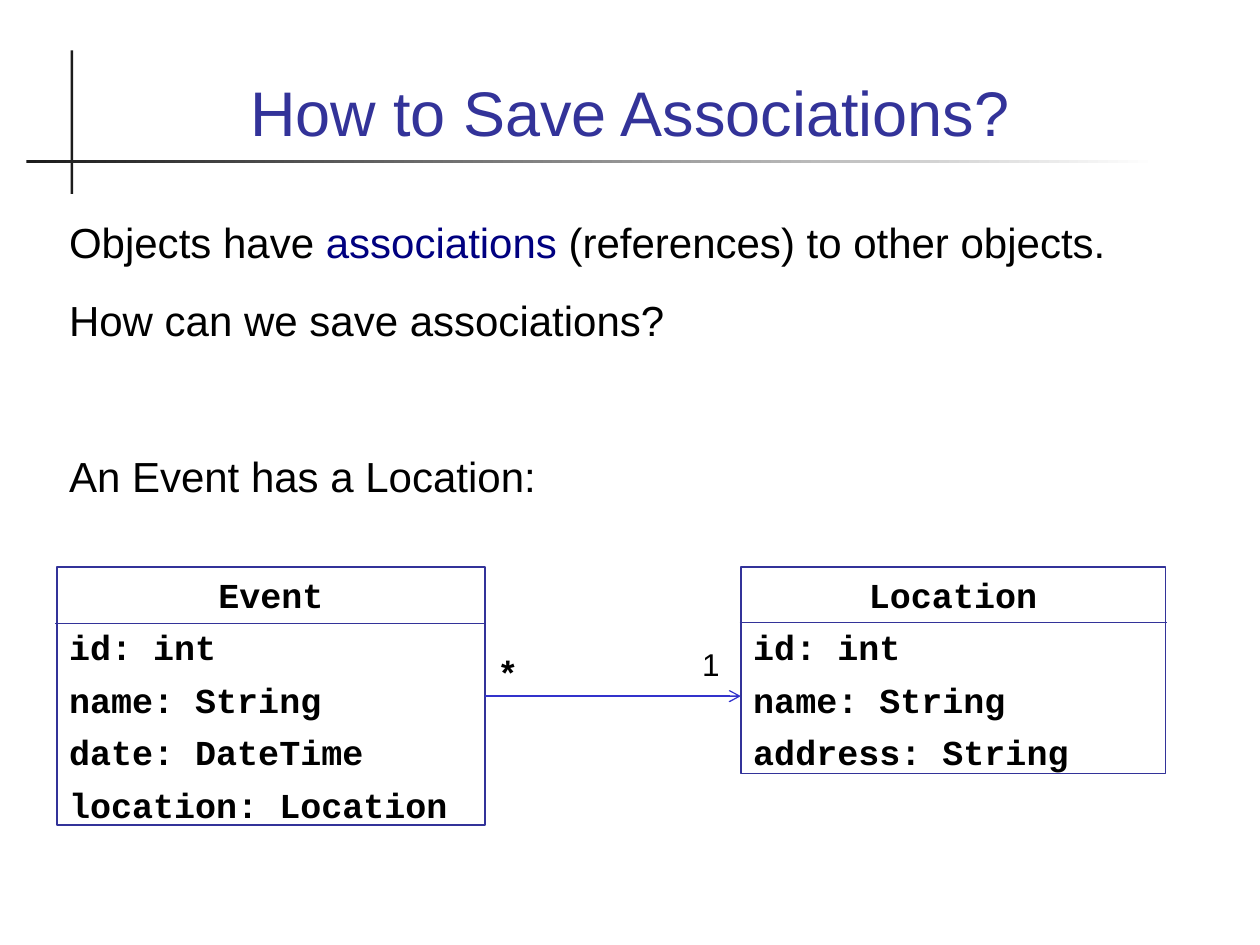
from dataclasses import dataclass

from lxml import etree
from pptx import Presentation
from pptx import util as u
from pptx.dml.color import RGBColor
from pptx.enum import shapes, text
from pptx.oxml import ns

COLUMNS, ROWS = 100, 75
WIDTH, HEIGHT = u.Inches(10), u.Inches(7.5)
INDIGO = RGBColor(0x33, 0x33, 0x99)
ARROW_BLUE = RGBColor(0x33, 0x33, 0xCC)
NAVY = RGBColor(0x00, 0x00, 0x80)
CHARCOAL = RGBColor(0x1C, 0x1C, 0x1C)
BLACK = RGBColor(0x00, 0x00, 0x00)
WHITE = RGBColor(0xFF, 0xFF, 0xFF)
LEFT, CENTER, RIGHT = text.PP_ALIGN.LEFT, text.PP_ALIGN.CENTER, text.PP_ALIGN.RIGHT


@dataclass(frozen=True)
class Area:
    """Position and size in grid columns and rows."""
    column: float
    row: float
    columns: float
    rows: float

    def lengths(self) -> tuple:
        """Return left, top, width and height as slide lengths."""
        return across(self.column), down(self.row), across(self.columns), down(self.rows)


@dataclass(frozen=True)
class Style:
    """Character formatting of a run."""
    font: str
    size: float
    color: RGBColor = BLACK
    bold: bool = False


@dataclass(frozen=True)
class Line:
    """One paragraph of (text, style) runs."""
    runs: tuple
    before: float = 0
    align: text.PP_ALIGN = LEFT


@dataclass(frozen=True)
class UmlClass:
    """A class box with its name, attributes and divider row."""
    name: str
    attributes: tuple
    area: Area
    divider: float


@dataclass(frozen=True)
class Label:
    """A text box with its lines."""
    area: Area
    lines: tuple
    anchor: text.MSO_ANCHOR = text.MSO_ANCHOR.TOP


TITLE = Style("Arial", 36, INDIGO)
BODY = Style("Arial", 24)
KEYWORD = Style("Arial", 24, NAVY)
COUNT = Style("Arial", 18)
CODE = Style("Courier New", 20, bold=True)

LABELS = (
    Label(Area(6.7, 2.8, 86.6, 9.5),
          (Line((("How to Save Associations?", TITLE),), align=CENTER),),
          text.MSO_ANCHOR.BOTTOM),
    Label(Area(4.5, 16.7, 91, 23.3), (
        Line((("Objects have ", BODY), ("associations", KEYWORD),
              (" (references) to other objects.", BODY))),
        Line((("How can we save associations?", BODY),), 16),
        Line((("An Event has a Location:", BODY),), 60))),
    Label(Area(53.7, 50.7, 4.4, 4), (Line((("1", COUNT),), align=RIGHT),)),
    Label(Area(38.5, 51.2, 4.4, 4.4), (Line((("*", CODE),)),)),
)
EVENT = UmlClass("Event", ("id: int", "name: String", "date: DateTime", "location: Location"),
                 Area(4.5, 45, 34, 20.5), 49.5)
LOCATION = UmlClass("Location", ("id: int", "name: String", "address: String"),
                    Area(58.8, 45, 33.7, 16.4), 49.4)


def across(columns: float) -> u.Emu:
    """Turn grid columns into a length."""
    return u.Emu(round(WIDTH * columns / COLUMNS))


def down(rows: float) -> u.Emu:
    """Turn grid rows into a length."""
    return u.Emu(round(HEIGHT * rows / ROWS))


def write(shape, lines: tuple, anchor=text.MSO_ANCHOR.TOP) -> None:
    """Fill a shape with lines of styled runs."""
    frame = shape.text_frame
    frame.word_wrap = True
    frame.vertical_anchor = anchor
    for index, line in enumerate(lines):
        paragraph = frame.add_paragraph() if index else frame.paragraphs[0]
        paragraph.alignment = line.align
        paragraph.space_before = u.Pt(line.before)
        for words, style in line.runs:
            run = paragraph.add_run()
            run.text = words
            run.font.name = style.font
            run.font.size = u.Pt(style.size)
            run.font.bold = style.bold
            run.font.color.rgb = style.color


def add_label(slide, label: Label) -> None:
    """Add a text box."""
    write(slide.shapes.add_textbox(*label.area.lengths()), label.lines, label.anchor)


def add_rectangle(slide, area: Area):
    """Add a rectangle without shadow."""
    shape = slide.shapes.add_shape(shapes.MSO_SHAPE.RECTANGLE, *area.lengths())
    shape.shadow.inherit = False
    return shape


def add_line(slide, start: float, end: float, row: float, color: RGBColor):
    """Add a thin horizontal line."""
    line = slide.shapes.add_connector(
        shapes.MSO_CONNECTOR.STRAIGHT, across(start), down(row), across(end), down(row))
    line.line.color.rgb = color
    line.line.width = u.Pt(0.75)
    etree.SubElement(line._element.spPr, ns.qn("a:effectLst"))
    return line


def add_class(slide, uml: UmlClass):
    """Add a class box with its divider and return the box."""
    box = add_rectangle(slide, uml.area)
    box.fill.background()
    box.line.color.rgb = INDIGO
    box.line.width = u.Pt(1)
    heading = Line(((uml.name, CODE),), align=CENTER)
    rows = tuple(Line(((attribute, CODE),), 6) for attribute in uml.attributes)
    write(box, (heading, *rows))
    start = uml.area.column
    add_line(slide, start - 0.1, start + uml.area.columns + 0.1, uml.divider, INDIGO)
    return box


def add_association(slide, source, row: float) -> None:
    """Draw an open arrow from the source box to the Location box."""
    start = EVENT.area.column + EVENT.area.columns
    arrow = add_line(slide, start, LOCATION.area.column, row, ARROW_BLUE)
    arrow.begin_connect(source, 3)
    tail = etree.SubElement(arrow.line._get_or_add_ln(), ns.qn("a:tailEnd"))
    tail.set("type", "arrow")


def add_rules(slide) -> None:
    """Draw the crossing bars beside and below the title."""
    vertical = add_rectangle(slide, Area(5.6, 4, 0.2, 11.4))
    vertical.fill.solid()
    vertical.fill.fore_color.rgb = CHARCOAL
    horizontal = add_rectangle(slide, Area(2.1, 12.7, 89.8, 0.2))
    horizontal.fill.gradient()
    horizontal.fill.gradient_angle = 0
    for stop, color in zip(horizontal.fill.gradient_stops, (CHARCOAL, WHITE)):
        stop.color.rgb = color
    for bar in (vertical, horizontal):
        bar.line.fill.background()


def main() -> None:
    """Build and save the slide."""
    presentation = Presentation()
    presentation.slide_width, presentation.slide_height = WIDTH, HEIGHT
    slide = presentation.slides.add_slide(presentation.slide_layouts[6])
    add_rules(slide)
    event = add_class(slide, EVENT)
    add_class(slide, LOCATION)
    add_association(slide, event, EVENT.area.row + EVENT.area.rows / 2)
    for label in LABELS:
        add_label(slide, label)
    presentation.save("out.pptx")


if __name__ == "__main__":
    main()
